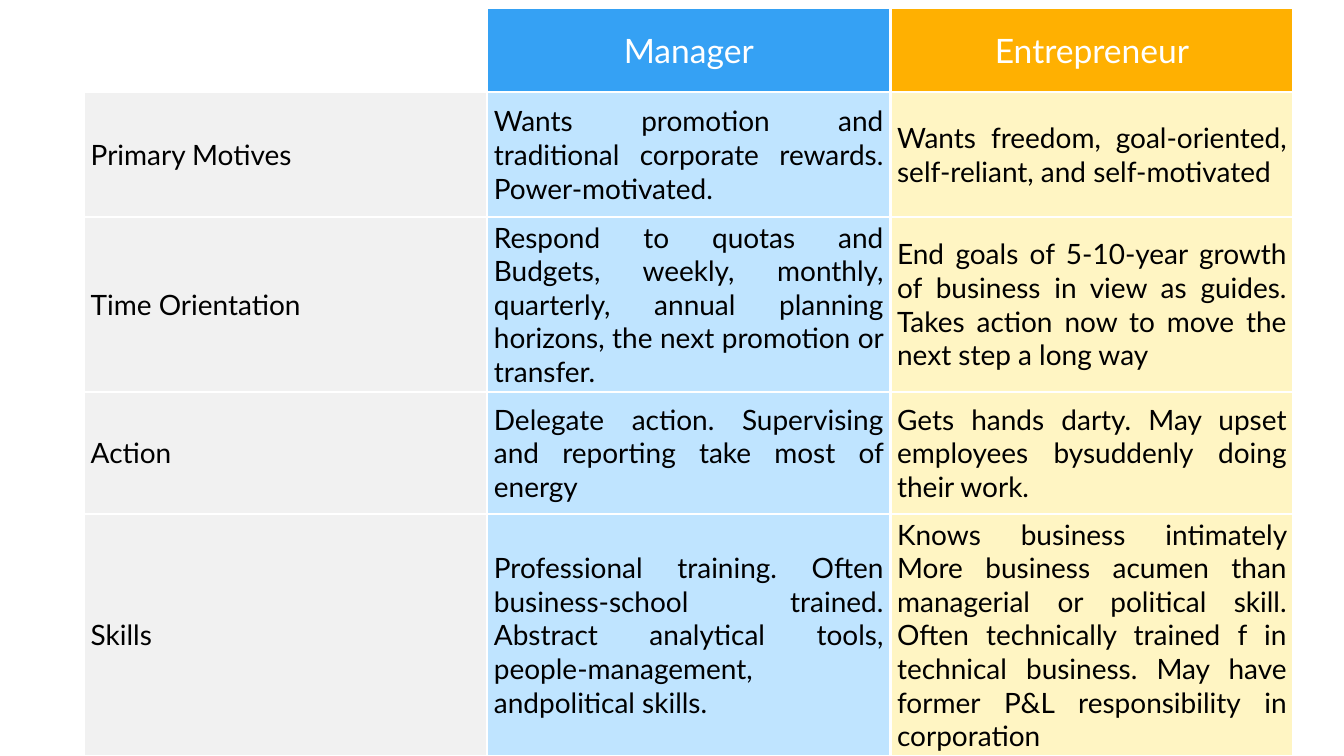
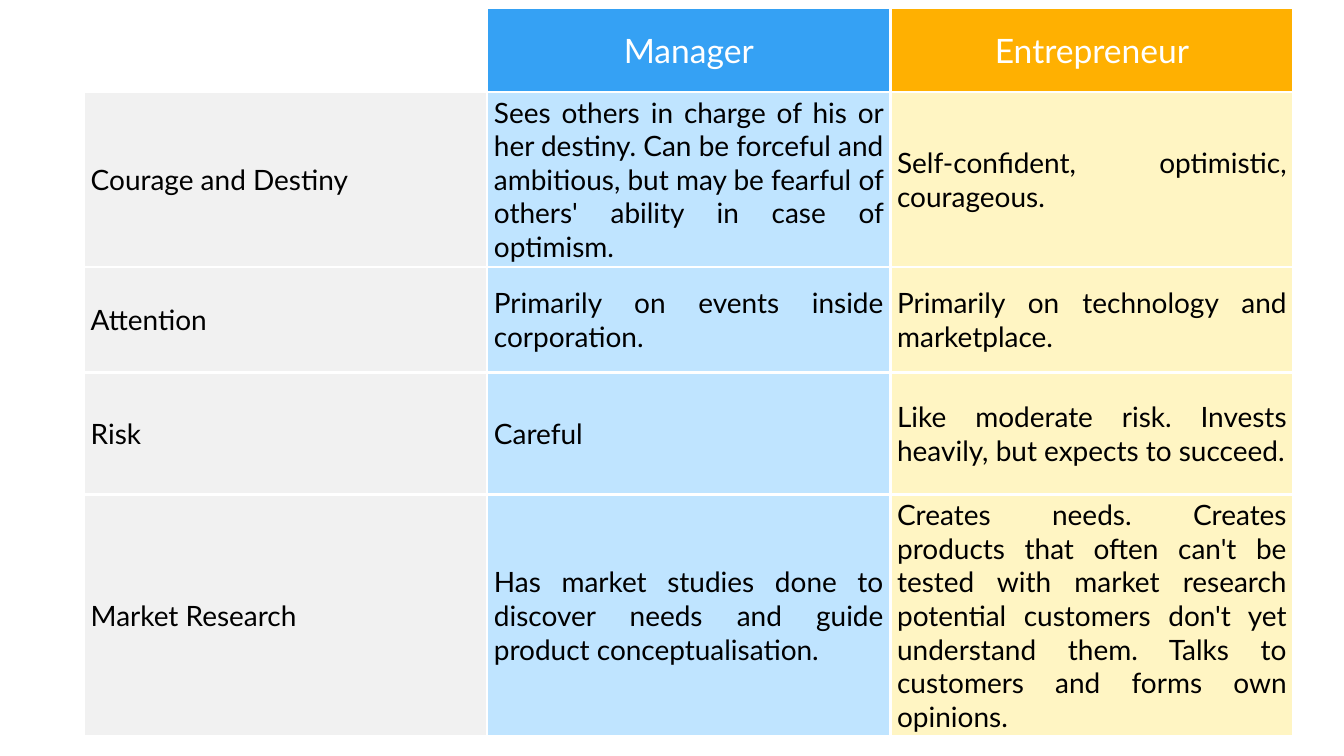
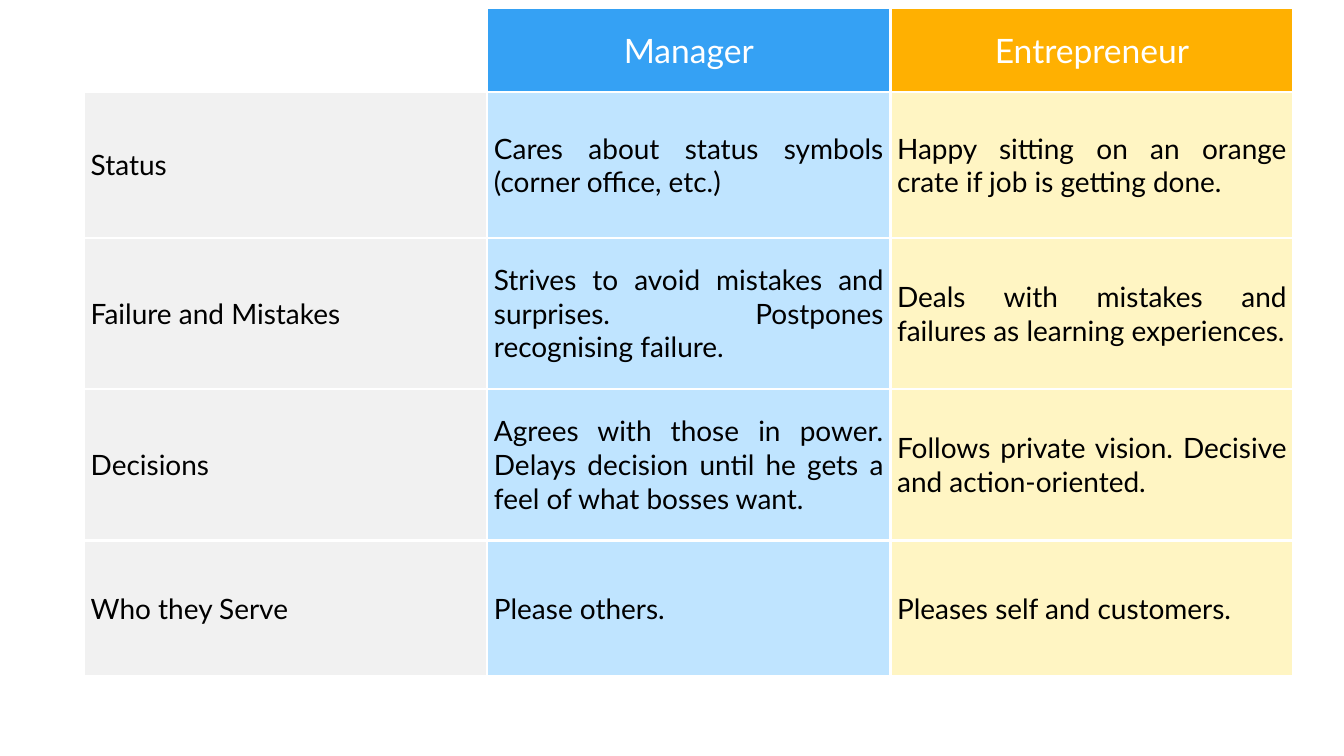
from dataclasses import dataclass

from lxml.etree import SubElement
from pptx import Presentation
from pptx.dml.color import RGBColor
from pptx.enum.text import MSO_ANCHOR, PP_ALIGN
from pptx.oxml.ns import qn
from pptx.util import Emu, Pt

EMU_PER_PX = 9144  # 100 px to the inch
SLIDE_WIDTH, SLIDE_HEIGHT = 2000, 1125
TABLE_LEFT, TABLE_TOP = 125, 12
COLUMN_WIDTH = 600
HEADER_HEIGHT = 125
BORDER_POINTS = 3
FONT = "Lato"

COLORS = {
    "white": "FFFFFF",
    "text": "000000",
    "topic": "F1F1F1",
    "manager_header": "35A1F4",
    "manager": "BFE4FF",
    "entrepreneur_header": "FFB001",
    "entrepreneur": "FFF5C3",
}
HEADERS = {1: ("Manager", "manager_header"), 2: ("Entrepreneur", "entrepreneur_header")}
BODY_FILLS = ("topic", "manager", "entrepreneur")


@dataclass(frozen=True)
class Comparison:
    height: int
    topic: str
    manager: str
    entrepreneur: str


SLIDES = [
    [
        Comparison(186, "Primary Motives",
                   "Wants promotion and traditional corporate rewards. Power-motivated.",
                   "Wants freedom, goal-oriented, self-reliant, and self-motivated"),
        Comparison(260, "Time Orientation",
                   "Respond to quotas and Budgets, weekly, monthly, quarterly, annual "
                   "planning horizons, the next promotion or transfer.",
                   "End goals of 5-10-year growth of business in view as guides. "
                   "Takes action now to move the next step a long way"),
        Comparison(182, "Action",
                   "Delegate action. Supervising and reporting take most of energy",
                   "Gets hands darty. May upset employees bysuddenly doing their work."),
        Comparison(360, "Skills",
                   "Professional training. Often business-school trained. Abstract "
                   "analytical tools, people-management, andpolitical skills.",
                   "Knows business intimately More business acumen than managerial or "
                   "political skill. Often technically trained f in technical business. "
                   "May have former P&L responsibility in corporation"),
    ],
    [
        Comparison(260, "Courage and Destiny",
                   "Sees others in charge of his or her destiny. Can be forceful and "
                   "ambitious, but may be fearful of others' ability in case of optimism.",
                   "Self-confident, optimistic, courageous."),
        Comparison(157, "Attention",
                   "Primarily on events inside corporation.",
                   "Primarily on technology and marketplace."),
        Comparison(182, "Risk",
                   "Careful",
                   "Like moderate risk. Invests heavily, but expects to succeed."),
        Comparison(360, "Market Research",
                   "Has market studies done to discover needs and guide product "
                   "conceptualisation.",
                   "Creates needs. Creates products that often can't be tested with "
                   "market research potential customers don't yet understand them. "
                   "Talks to customers and forms own opinions."),
    ],
    [
        Comparison(217, "Status",
                   "Cares about status symbols (corner office, etc.)",
                   "Happy sitting on an orange crate if job is getting done."),
        Comparison(225, "Failure and Mistakes",
                   "Strives to avoid mistakes and surprises. Postpones recognising failure.",
                   "Deals with mistakes and failures as learning experiences."),
        Comparison(225, "Decisions",
                   "Agrees with those in power. Delays decision until he gets a feel "
                   "of what bosses want.",
                   "Follows private vision. Decisive and action-oriented."),
        Comparison(202, "Who they Serve",
                   "Please others.",
                   "Pleases self and customers."),
    ],
]


def px(length: int) -> Emu:
    return Emu(length * EMU_PER_PX)


def rgb(name: str) -> RGBColor:
    return RGBColor.from_string(COLORS[name])


def set_borders(cell) -> None:
    properties = cell._tc.get_or_add_tcPr()
    for side in ("a:lnL", "a:lnR", "a:lnT", "a:lnB"):
        line = SubElement(properties, qn(side), w=str(Pt(BORDER_POINTS)))
        fill = SubElement(line, qn("a:solidFill"))
        SubElement(fill, qn("a:srgbClr"), val=COLORS["white"])


def write_cell(cell, text: str, *, fill: str, size: int = 30, color: str = "text",
               align: PP_ALIGN = PP_ALIGN.JUSTIFY) -> None:
    cell.fill.solid()
    cell.fill.fore_color.rgb = rgb(fill)
    cell.vertical_anchor = MSO_ANCHOR.MIDDLE
    paragraph = cell.text_frame.paragraphs[0]
    paragraph.alignment = align
    run = paragraph.add_run()
    run.text = text
    run.font.name = FONT
    run.font.size = Pt(size)
    run.font.bold = False
    run.font.color.rgb = rgb(color)


def add_comparison_table(slide, comparisons: list[Comparison]) -> None:
    heights = [HEADER_HEIGHT] + [comparison.height for comparison in comparisons]
    columns = len(BODY_FILLS)
    table = slide.shapes.add_table(
        len(heights), columns, px(TABLE_LEFT), px(TABLE_TOP),
        px(COLUMN_WIDTH * columns), px(sum(heights))).table
    table.first_row = False
    table.horz_banding = False
    for row, height in zip(table.rows, heights):
        row.height = px(height)
    for cell in table.iter_cells():
        set_borders(cell)

    table.cell(0, 0).fill.background()
    for column, (title, fill) in HEADERS.items():
        write_cell(table.cell(0, column), title, fill=fill, size=36,
                   color="white", align=PP_ALIGN.CENTER)
    for row, comparison in enumerate(comparisons, start=1):
        texts = (comparison.topic, comparison.manager, comparison.entrepreneur)
        for column, (text, fill) in enumerate(zip(texts, BODY_FILLS)):
            write_cell(table.cell(row, column), text, fill=fill)


def main() -> None:
    presentation = Presentation()
    presentation.slide_width = px(SLIDE_WIDTH)
    presentation.slide_height = px(SLIDE_HEIGHT)
    blank_layout = presentation.slide_layouts[6]
    for comparisons in SLIDES:
        add_comparison_table(presentation.slides.add_slide(blank_layout), comparisons)
    presentation.save("out.pptx")


if __name__ == "__main__":
    main()
